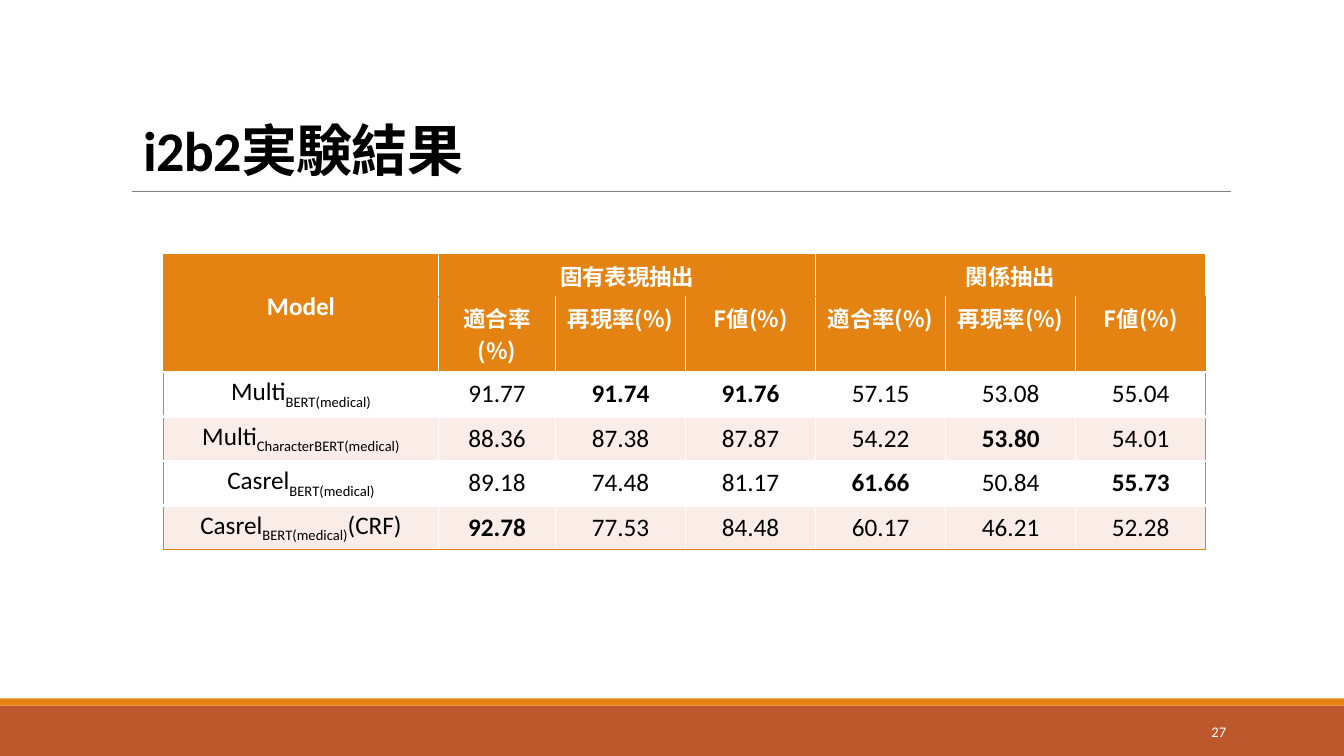
from pptx import Presentation
from pptx import util as u
from pptx.dml.color import RGBColor
from pptx.enum import shapes, text
from pptx.oxml.ns import qn
from lxml import etree

LATIN, JAPANESE = "Calibri", "Noto Sans CJK JP"
ORANGE, RUST, PALE = "E48312", "BD582C", "FAEDE7"
WHITE, BLACK, GRAY = "FFFFFF", "000000", "808080"

# Content
TITLE = [("i2b2", LATIN), ("実験結果", JAPANESE)]
PAGE_NUMBER = "27"
GROUPS = ["固有表現抽出", "関係抽出"]
MEASURES = ["適合率(%)", "再現率(%)", "F値(%)"]
# Model name, subscript, suffix, then scores
RESULTS = [
    (("Multi", "BERT(medical)", ""),
     ["91.77", "91.74", "91.76", "57.15", "53.08", "55.04"]),
    (("Multi", "CharacterBERT(medical)", ""),
     ["88.36", "87.38", "87.87", "54.22", "53.80", "54.01"]),
    (("Casrel", "BERT(medical)", ""),
     ["89.18", "74.48", "81.17", "61.66", "50.84", "55.73"]),
    (("Casrel", "BERT(medical)", "(CRF)"),
     ["92.78", "77.53", "84.48", "60.17", "46.21", "52.28"]),
]
COLUMN_WIDTHS = [2.73, 1.16] + [1.29] * 5
ROW_HEIGHTS = [0.41, 0.75] + [0.44] * len(RESULTS)


def color(value):
    return RGBColor.from_string(value)


def add_run(para, words, size, ink, bold=False, latin=LATIN, subscript=False):
    span = para.add_run()
    span.text = words
    span.font.size = u.Pt(size)
    span.font.bold = bold
    span.font.name = latin
    span.font.color.rgb = color(ink)
    props = span._r.get_or_add_rPr()
    etree.SubElement(props, qn("a:ea")).set("typeface", JAPANESE)
    if subscript:
        props.set("baseline", "-25000")
    return span


def add_bar(page, top, height, fill):
    bar = page.shapes.add_shape(shapes.MSO_SHAPE.RECTANGLE, 0, u.Inches(top),
                                deck.slide_width, u.Inches(height))
    bar.shadow.inherit = False
    bar.fill.solid()
    bar.fill.fore_color.rgb = color(fill)
    bar.line.fill.background()


def set_borders(cell, borders):
    """Draw the cell's edges; keys run in the order L, R, T, B."""
    props = cell._tc.get_or_add_tcPr()
    for place, (side, (ink, width)) in enumerate(borders.items()):
        line = etree.Element(qn("a:ln" + side), w=str(u.Pt(width)))
        fill = etree.SubElement(line, qn("a:solidFill"))
        etree.SubElement(fill, qn("a:srgbClr")).set("val", ink)
        props.insert(place, line)


def centered(cell, anchor=text.MSO_ANCHOR.MIDDLE):
    cell.vertical_anchor = anchor
    para = cell.text_frame.paragraphs[0]
    para.alignment = text.PP_ALIGN.CENTER
    return para


deck = Presentation()
deck.slide_width, deck.slide_height = u.Inches(13.33), u.Inches(7.5)
page = deck.slides.add_slide(deck.slide_layouts[5])

# Footer bars and title rule
add_bar(page, 7, 0.5, RUST)
add_bar(page, 6.93, 0.07, ORANGE)
rule = page.shapes.add_connector(shapes.MSO_CONNECTOR.STRAIGHT, u.Inches(1.31),
                                 u.Inches(1.9), u.Inches(12.21), u.Inches(1.9))
rule.line.color.rgb = color(GRAY)
rule.line.width = u.Pt(0.5)
etree.SubElement(rule._element.spPr, qn("a:effectLst"))

# Title
title = page.shapes.title
title.left, title.top = u.Inches(1.32), u.Inches(0.82)
title.width, title.height = u.Inches(10.93), u.Inches(1.04)
title.text_frame.vertical_anchor = text.MSO_ANCHOR.BOTTOM
title.text_frame.auto_size = text.MSO_AUTO_SIZE.NONE
title.text_frame.word_wrap = True
para = title.text_frame.paragraphs[0]
para.alignment = text.PP_ALIGN.LEFT
para.line_spacing = 0.85
for words, latin in TITLE:
    span = add_run(para, words, 40, BLACK, True, latin)
    span._r.get_or_add_rPr().set("spc", "-50")

# Page number
box = page.shapes.add_textbox(u.Inches(10.83), u.Inches(7.06), u.Inches(1.43), u.Inches(0.4))
box.text_frame.word_wrap = True
box.text_frame.vertical_anchor = text.MSO_ANCHOR.MIDDLE
para = box.text_frame.paragraphs[0]
para.alignment = text.PP_ALIGN.RIGHT
add_run(para, PAGE_NUMBER, 10.5, WHITE)

# Table grid
row_count, column_count = len(ROW_HEIGHTS), len(COLUMN_WIDTHS)
table = page.shapes.add_table(row_count, column_count, u.Inches(1.62), u.Inches(2.53),
                              u.Inches(sum(COLUMN_WIDTHS)), u.Inches(sum(ROW_HEIGHTS))).table
for column, width in zip(table.columns, COLUMN_WIDTHS):
    column.width = u.Inches(width)
for row, height in zip(table.rows, ROW_HEIGHTS):
    row.height = u.Inches(height)

# Fills and borders
edge, gap = (ORANGE, 1), (WHITE, 2.25)
for r in range(row_count):
    for c in range(column_count):
        cell = table.cell(r, c)
        cell.fill.solid()
        cell.fill.fore_color.rgb = color(ORANGE if r < 2 else PALE if r % 2 else WHITE)
        borders = {}
        if c == 0:
            borders["L"] = edge
        if c == column_count - 1:
            borders["R"] = edge
        borders["T"] = edge if r < 2 else gap
        borders["B"] = edge if r in (0, row_count - 1) and (r or c) else gap
        set_borders(cell, borders)

# Header rows
model = table.cell(0, 0)
model.merge(table.cell(1, 0))
model.margin_top = u.Inches(0.36)
add_run(centered(model, text.MSO_ANCHOR.TOP), "Model", 18, WHITE, True)
for g, group in enumerate(GROUPS):
    first = 1 + g * len(MEASURES)
    heading = table.cell(0, first)
    heading.merge(table.cell(0, first + len(MEASURES) - 1))
    add_run(centered(heading), group, 16, WHITE, True)
    for m, measure in enumerate(MEASURES):
        para = centered(table.cell(1, first + m), text.MSO_ANCHOR.TOP)
        add_run(para, measure, 16, WHITE, True, JAPANESE)

# Result rows, with the best score of each column in bold
best = [max(scores, key=float) for scores in zip(*(scores for _, scores in RESULTS))]
for r, ((name, subscript, suffix), scores) in enumerate(RESULTS, 2):
    para = centered(table.cell(r, 0), text.MSO_ANCHOR.TOP)
    add_run(para, name, 18, BLACK)
    add_run(para, subscript, 18, BLACK, subscript=True)
    if suffix:
        add_run(para, suffix, 18, BLACK)
    for c, score in enumerate(scores):
        add_run(centered(table.cell(r, c + 1)), score, 18, BLACK, score == best[c])

deck.save("out.pptx")
